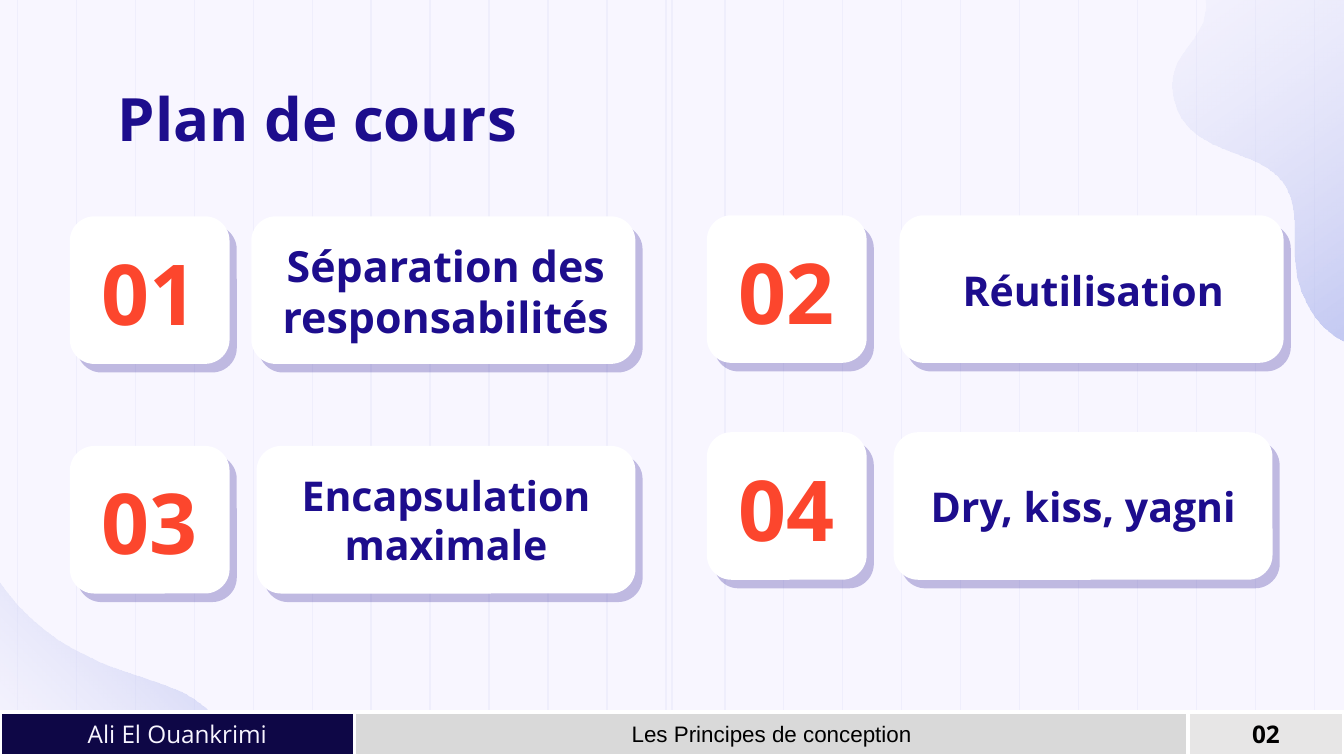
from lxml import etree
from pptx import Presentation
from pptx import util as u
from pptx.dml.color import RGBColor
from pptx.enum import shapes, text
from pptx.oxml.ns import qn

COLOURS = {
    "page": "F8F6FF", "grid": "EFEEFC", "blob": "9BA6E9", "navy": "1D0D8D",
    "orange": "FC462D", "white": "FFFFFF", "black": "000000",
    "footer_dark": "0E0746", "footer_mid": "D9D9D9", "footer_light": "E7E6E6",
}
SANS = "Open Sans"
WIDTH, HEIGHT = 25.4, 14.29
CARD_HEIGHT, NUMBER_WIDTH = 2.79, 3.02

# Content, lengths in cm
TITLE = ("Plan de cours", (1.98, 1.3, 10.69, 1.96))
TOPICS = [  # number, wording, size, number left, card top, card left and width, label box
    ("01", "Séparation des responsabilités", 23, 1.32, 4.09, (4.75, 7.26), (4.85, 4.39, 7.16, 2.21)),
    ("02", "Réutilisation", 22, 13.36, 4.07, (17, 7.26), (16.89, 4.09, 7.54, 2.77)),
    ("03", "Encapsulation maximale", 22, 1.32, 8.43, (4.85, 7.16), (4.85, 8.43, 7.16, 2.79)),
    ("04", "Dry, kiss, yagni", 22, 13.36, 8.17, (16.89, 7.16), (16.89, 8.17, 7.16, 2.79)),
]
FOOTER = [  # wording, left, width, fill, font, size, colour, bold
    ("Les Principes de conception", 6.7, 15.77, "footer_mid", SANS and "Arial", 12, "black", False),
    ("Ali El Ouankrimi", 0, 6.7, "footer_dark", SANS, 13, "page", False),
    ("02", 22.45, 2.95, "footer_light", SANS, 13, "black", True),
]
FOOTER[0] = FOOTER[0][:4] + ("Arial",) + FOOTER[0][5:]
# Corner blobs: gradient angle, start, then lines (end) or curves (control, control, end)
BLOBS = [
    (315, (4.6, 14.53), [
        (4.52, 13.92, 3.99, 13.36, 3.45, 13.08), (2.9, 12.83, 2.26, 12.7, 1.7, 12.42),
        (0.86, 12.04, 0.18, 11.4, -0.25, 10.59), (-0.25, 13.79),
        (-0.25, 14.2, 0.08, 14.53, 0.48, 14.53)]),
    (55, (26.92, 5.64), [
        (26.75, 6.07, 26.21, 6.63, 25.7, 6.55), (24.99, 6.43, 24.54, 5.64, 24.49, 5),
        (24.43, 4.5, 24.56, 3.96, 24.31, 3.53), (23.95, 2.9, 22.99, 2.95, 22.48, 2.41),
        (22.15, 2.08, 22.07, 1.52, 22.3, 1.12), (22.45, 0.84, 22.73, 0.61, 22.78, 0.28),
        (22.83, 0.08, 22.78, -0.15, 22.76, -0.36), (22.71, -0.81, 22.89, -1.45, 23.32, -1.65),
        (23.6, -1.78, 24.03, -1.75, 24.31, -1.63), (24.59, -1.52, 24.82, -1.32, 25.02, -1.12),
        (26.24, -0.03, 26.9, 1.52, 27.2, 3.2), (27.2, 3.2, 27.48, 4.55, 26.92, 5.64)]),
]


def rgb(name):
    return RGBColor.from_string(COLOURS[name])


def lengths(values):
    return [u.Cm(value) for value in values]


def add_node(parent, tag, **attributes):
    return etree.SubElement(parent, qn(tag), {key: str(value) for key, value in attributes.items()})


def add_colour(parent, name, opacity):
    node = add_node(parent, "a:srgbClr", val=COLOURS[name])
    add_node(node, "a:alpha", val=opacity * 1000)


def write(shape, wording, font, size, colour, bold=False, align=text.PP_ALIGN.CENTER,
          anchor=text.MSO_ANCHOR.MIDDLE):
    frame = shape.text_frame
    frame.word_wrap, frame.auto_size = True, text.MSO_AUTO_SIZE.NONE
    frame.vertical_anchor = anchor
    frame.margin_left = frame.margin_right = u.Cm(0.25)
    frame.margin_top = frame.margin_bottom = u.Cm(0.25)
    para = frame.paragraphs[0]
    para.alignment, para.line_spacing, para.space_before = align, 1.0, u.Pt(0)
    span = para.add_run()
    span.text = wording
    span.font.name, span.font.size, span.font.bold = font, u.Pt(size), bold
    span.font.color.rgb = rgb(colour)
    return para


def place(shape, box):
    shape.left, shape.top, shape.width, shape.height = lengths(box)
    shape.element.getparent().append(shape.element)  # bring to front


def add_grid_line(group, x):
    line = group.shapes.add_connector(shapes.MSO_CONNECTOR.STRAIGHT, *lengths((x, 0, x, HEIGHT)))
    line.line.color.rgb, line.line.width = rgb("grid"), u.Pt(0.75)
    add_node(line.element.spPr, "a:effectLst")


def add_blob(page, angle, start, segments):
    builder = page.shapes.build_freeform(*lengths(start))
    builder.add_line_segments([lengths(segment[-2:]) for segment in segments], close=True)
    blob = builder.convert_to_shape()
    blob.shadow.inherit = False
    blob.line.fill.background()
    # Bend the straight segments into curves
    for edge, segment in zip(list(blob.element.iter(qn("a:lnTo"))), segments):
        if len(segment) == 6:
            edge.tag = qn("a:cubicBezTo")
            for index, (x, y) in enumerate((segment[:2], segment[2:4])):
                point = etree.Element(qn("a:pt"), x=str(u.Cm(x) - blob.left), y=str(u.Cm(y) - blob.top))
                edge.insert(index, point)
    gradient = etree.Element(qn("a:gradFill"), rotWithShape="1")
    stops = add_node(gradient, "a:gsLst")
    for position, name, opacity in ((0, "grid", 13), (100, "blob", 69)):
        add_colour(add_node(stops, "a:gs", pos=position * 1000), name, opacity)
    add_node(gradient, "a:lin", ang=angle * 60000, scaled=0)
    blob.element.spPr.find(qn("a:custGeom")).addnext(gradient)
    return blob


def add_card(page, left, top, width):
    card = page.shapes.add_shape(shapes.MSO_SHAPE.ROUNDED_RECTANGLE,
                                 *lengths((left, top, width, CARD_HEIGHT)))
    card.fill.solid()
    card.fill.fore_color.rgb = rgb("white")
    card.line.fill.background()
    card.shadow.inherit = False
    effects = card.element.spPr.find(qn("a:effectLst"))
    shadow = add_node(effects, "a:outerShdw", dist=int(u.Pt(6)), dir=50 * 60000,
                      algn="bl", rotWithShape=0)
    add_colour(shadow, "navy", 25)


deck = Presentation()
deck.slide_width, deck.slide_height = lengths((WIDTH, HEIGHT))
page = deck.slides.add_slide(deck.slide_layouts.get_by_name("Comparison"))
page.background.fill.solid()
page.background.fill.fore_color.rgb = rgb("page")
heading, *labels = list(page.placeholders)

# Background grid and corner blobs, moved to the layout
grid = page.shapes.add_group_shape()
first, last, count = 0.33, 24.84, 23
for index in range(count):
    add_grid_line(grid, first + index * (last - first) / (count - 1))
add_grid_line(grid, WIDTH / 2)
for part in [grid] + [add_blob(page, *blob) for blob in BLOBS]:
    page.slide_layout.shapes.element.append(part.element)

# Title
place(heading, TITLE[1])
write(heading, TITLE[0], SANS, 32, "navy", True, text.PP_ALIGN.LEFT, text.MSO_ANCHOR.TOP)

# Topics: number card and label card
for label, (number, wording, size, left, top, (card_left, card_width), box) in zip(labels, TOPICS):
    add_card(page, left, top, NUMBER_WIDTH)
    add_card(page, card_left, top, card_width)
    figure = page.shapes.add_textbox(*lengths((left, top + 0.32, NUMBER_WIDTH, 2.21)))
    write(figure, number, SANS, 45, "orange", True)
    place(label, box)
    para = write(label, wording, SANS, size, "navy", True)
    properties = para._p.get_or_add_pPr()
    properties.set("marL", "0")
    properties.set("indent", "0")
    add_node(properties, "a:buNone")

# Footer bar
for wording, left, width, fill, font, size, colour, bold in FOOTER:
    cell = page.shapes.add_shape(shapes.MSO_SHAPE.RECTANGLE, *lengths((left, 13.46, width, 0.83)))
    cell.shadow.inherit = False
    cell.fill.solid()
    cell.fill.fore_color.rgb = rgb(fill)
    cell.line.color.rgb, cell.line.width = rgb("white"), u.Pt(2)
    write(cell, wording, font, size, colour, bold)
    cell.text_frame.margin_top = cell.text_frame.margin_bottom = u.Cm(0.13)

deck.save("out.pptx")
